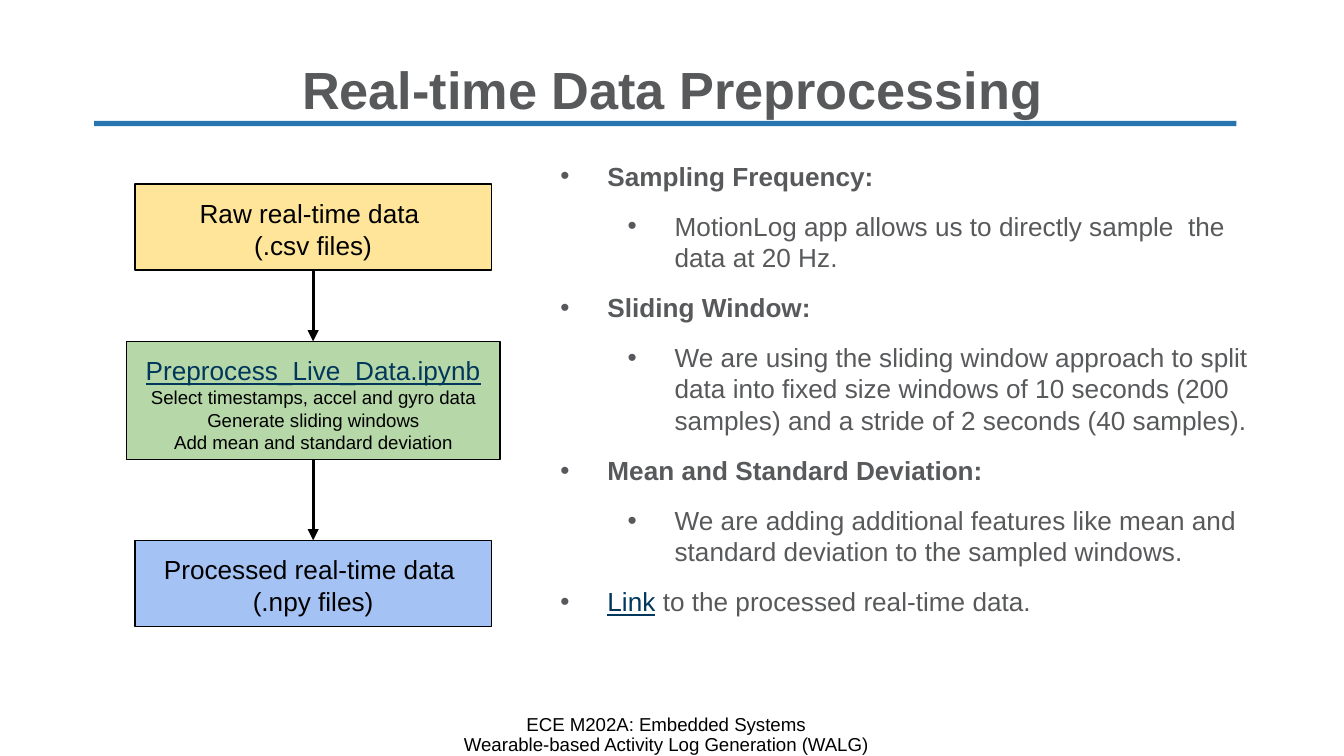
"""Build the slide on preprocessing real-time data."""
from lxml.etree import SubElement
from pptx import Presentation
from pptx.dml.color import RGBColor as Rgb
from pptx.enum.shapes import MSO_CONNECTOR as Conn, MSO_SHAPE as Kind
from pptx.enum.text import MSO_ANCHOR as Anchor, PP_ALIGN as Align
from pptx.oxml.ns import qn
from pptx.util import Inches, Pt

COLORS = {
    "ink": "000000", "gray": "58595B", "bullet": "57585B", "link": "00375B",
    "rule": "2774AE", "raw": "FFE599", "step": "B6D7A8", "done": "A4C2F4",
}


def style(font, size, color, bold=False, line=False):
    font.name, font.size, font.bold, font.underline = "Arial", Pt(size), bold, line
    font.color.rgb = Rgb.from_string(COLORS[color])


def inset(frame, left, top, right, bottom):
    frame.word_wrap = True
    frame.margin_left, frame.margin_top = Inches(left), Inches(top)
    frame.margin_right, frame.margin_bottom = Inches(right), Inches(bottom)


deck = Presentation()
deck.slide_width, deck.slide_height = Inches(10), Inches(10 * 9 / 16)
slide = deck.slides.add_slide(deck.slide_layouts[5])
shapes = slide.shapes

rule = shapes.add_shape(Kind.RECTANGLE, Inches(0.7), Inches(0.9), Inches(8.5), Inches(0.04))
rule.shadow.inherit = False
rule.fill.solid()
rule.fill.fore_color.rgb = Rgb.from_string(COLORS["rule"])
rule.line.fill.background()

title = shapes.title
title.left, title.top = Inches(0.69), Inches(0.4)
title.width, title.height = Inches(8.62), Inches(0.58)
title.text_frame.text = "Real-time Data Preprocessing"
title.text_frame.vertical_anchor = Anchor.MIDDLE
inset(title.text_frame, 0.07, 0.04, 0.07, 0.04)
head = title.text_frame.paragraphs[0]
head.alignment, head.line_spacing = Align.CENTER, 0.9
style(head.font, 28, "gray", bold=True)

foot = shapes.add_textbox(Inches(2.5), Inches(5.32), Inches(4.91), Inches(0.4)).text_frame
foot.text = "ECE M202A: Embedded Systems\nWearable-based Activity Log Generation (WALG)"
inset(foot, 0, 0, 0, 0.28)
for para in foot.paragraphs:
    para.alignment, para.line_spacing = Align.CENTER, 0.9
    style(para.font, 10, "ink")

points = [
    (0, "Sampling Frequency:"),
    (1, "MotionLog app allows us to directly sample  the data at 20 Hz."),
    (0, "Sliding Window:"),
    (1, "We are using the sliding window approach to split data into fixed size "
        "windows of 10 seconds (200 samples) and a stride of 2 seconds (40 samples)."),
    (0, "Mean and Standard Deviation:"),
    (1, "We are adding additional features like mean and standard deviation "
        "to the sampled windows."),
    (0, "Link to the processed real-time data."),
]
body = shapes.add_textbox(Inches(3.95), Inches(1.15), Inches(5.46), Inches(4.23)).text_frame
inset(body, 0.07, 0.04, 0.07, 0.04)
for num, (level, text) in enumerate(points):
    para = body.add_paragraph() if num else body.paragraphs[0]
    para.level = level
    para.space_before = Pt(10 if num else 8)
    style(para.font, 14, "gray", bold=text.endswith(":"))
    if text.startswith("Link"):
        para.space_after = Pt(10)
        run = para.add_run()
        run.text = "Link"
        style(run.font, 14, "link", line=True)
        text = text.removeprefix("Link")
    para.add_run().text = text
    props = para._p.get_or_add_pPr()
    props.set("marL", str(Inches(0.5 * (level + 1))))
    props.set("indent", str(Inches(-0.35)))
    tint = SubElement(props, qn("a:buClr"))
    SubElement(tint, qn("a:srgbClr"), val=COLORS["bullet"])
    SubElement(props, qn("a:buFont"), typeface="Arial")
    SubElement(props, qn("a:buChar"), char="•")
    props.append(props.find(qn("a:defRPr")))

mid = 2.33
steps = [
    (1.37, 2.65, 0.64, "raw", ["Raw real-time data ", "(.csv files)"]),
    (2.54, 2.78, 0.88, "step", [
        "Preprocess_Live_Data.ipynb", "Select timestamps, accel and gyro data",
        "Generate sliding windows", "Add mean and standard deviation"]),
    (4.02, 2.65, 0.64, "done", ["Processed real-time data ", "(.npy files)"]),
]
for top, width, height, color, lines in steps:
    box = shapes.add_shape(Kind.RECTANGLE, Inches(mid - width / 2), Inches(top),
                           Inches(width), Inches(height))
    box.shadow.inherit = False
    box.fill.solid()
    box.fill.fore_color.rgb = Rgb.from_string(COLORS[color])
    box.line.color.rgb = Rgb.from_string(COLORS["ink"])
    box.line.width = Pt(0.75)
    frame = box.text_frame
    frame.text = "\n".join(lines)
    frame.vertical_anchor = Anchor.TOP
    inset(frame, 0.1, 0.1, 0.1, 0.1)
    for num, para in enumerate(frame.paragraphs):
        para.alignment = Align.CENTER
        link = color == "step" and num == 0
        small = color == "step" and num > 0
        style(para.font, 10 if small else 14, "link" if link else "ink", line=link)

for upper, lower in zip(steps, steps[1:]):
    arrow = shapes.add_connector(Conn.STRAIGHT, Inches(mid), Inches(upper[0] + upper[2]),
                                 Inches(mid), Inches(lower[0]))
    arrow.line.color.rgb = Rgb.from_string(COLORS["ink"])
    arrow.line.width = Pt(1.5)
    SubElement(arrow.line._get_or_add_ln(), qn("a:tailEnd"), type="triangle")
    SubElement(arrow._element.spPr, qn("a:effectLst"))

deck.save("out.pptx")
